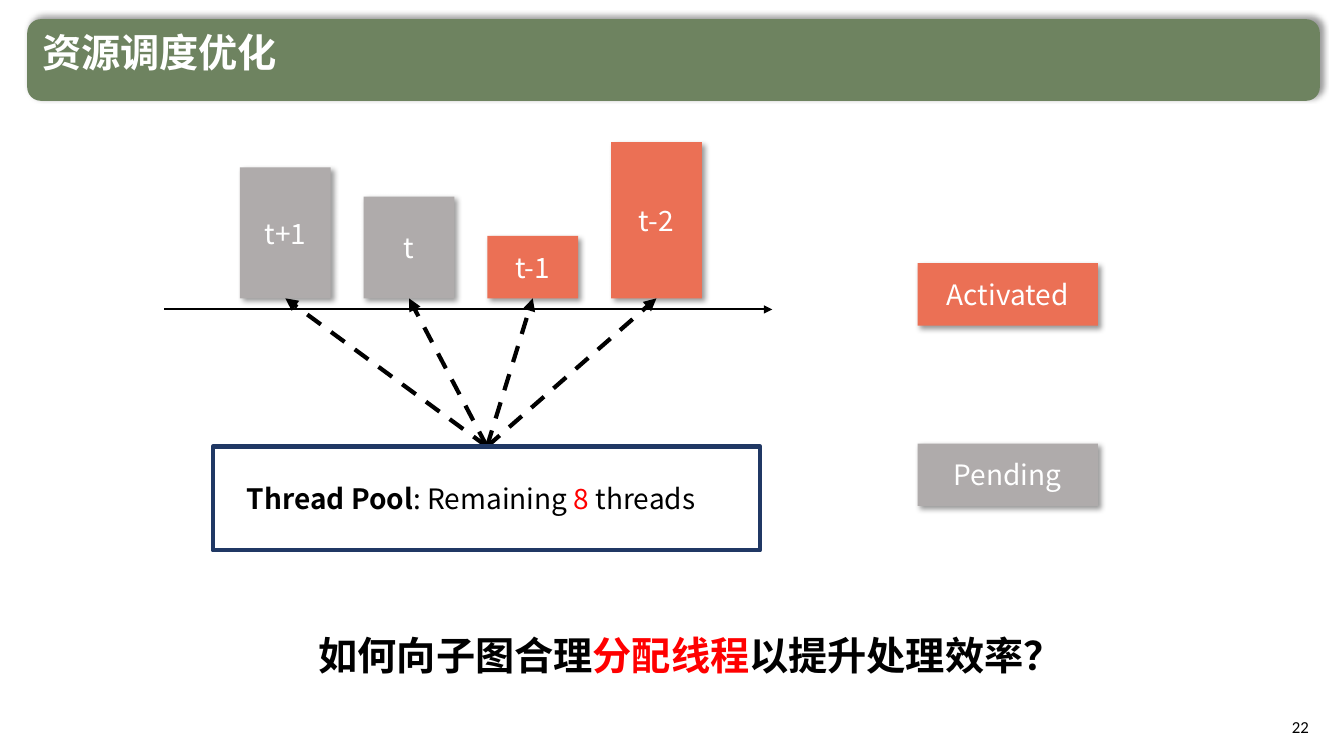
import dataclasses

import pptx
import pptx.dml.color
import pptx.enum.dml
import pptx.enum.shapes
import pptx.enum.text
import pptx.oxml
import pptx.oxml.ns
import pptx.util
from pptx.util import Inches

ALIGN = pptx.enum.text.PP_ALIGN
SHAPE = pptx.enum.shapes.MSO_SHAPE
NS = pptx.oxml.ns.nsdecls("a")


@dataclasses.dataclass(frozen=True)
class Theme:
    """Hold the colours, fonts and type sizes."""
    band: str = "6E8360"
    live: str = "EB7055"
    wait: str = "AFABAB"
    frame: str = "203864"
    ink: str = "000000"
    paper: str = "FFFFFF"
    mark: str = "FF0000"
    face: str = "Noto Sans CJK SC"
    digit: str = "Calibri"
    head: int = 28
    label: int = 20
    foot: int = 12


THEME = Theme()


def color(code):
    """Turn a hex code into a colour."""
    return pptx.dml.color.RGBColor.from_string(code)


def write(frame, parts, size, align=ALIGN.LEFT, face=THEME.face):
    """Fill a frame with one line of (text, colour, bold) parts."""
    frame.word_wrap = True
    line = frame.paragraphs[0]
    line.alignment = align
    for text, tint, bold in parts:
        run = line.add_run()
        run.text = text
        font = run.font
        font.size, font.bold, font.name = pptx.util.Pt(size), bold, face
        font.color.rgb = color(tint)
        font._element.append(pptx.oxml.parse_xml(f'<a:ea {NS} typeface="{face}"/>'))
    return line


def text(slide, box, parts, size, **style):
    """Add a text box and return its frame."""
    frame = slide.shapes.add_textbox(*map(Inches, box)).text_frame
    write(frame, parts, size, **style)
    return frame


def block(slide, box, fill, kind=SHAPE.RECTANGLE, angle=45):
    """Add a filled shape with a soft shadow."""
    shape = slide.shapes.add_shape(kind, *map(Inches, box))
    shape.fill.solid()
    shape.fill.fore_color.rgb = color(fill)
    shape.line.fill.background()
    shape.shadow.inherit = False
    effects = shape._element.spPr.find(pptx.oxml.ns.qn("a:effectLst"))
    effects.append(pptx.oxml.parse_xml(
        f'<a:outerShdw {NS} blurRad="{pptx.util.Pt(4)}" dist="{pptx.util.Pt(3)}" '
        f'dir="{angle * 60000}" algn="ctr" rotWithShape="0"><a:srgbClr val="{THEME.ink}">'
        '<a:alpha val="40000"/></a:srgbClr></a:outerShdw>'))
    return shape


def tile(slide, box, name, fill):
    """Add a labelled block."""
    frame = block(slide, box, fill).text_frame
    frame.vertical_anchor = pptx.enum.text.MSO_ANCHOR.MIDDLE
    write(frame, [(name, THEME.paper, False)], THEME.label, ALIGN.CENTER)


def arrow(slide, start, end, width, dash=False):
    """Add an arrow between two points."""
    line = slide.shapes.add_connector(
        pptx.enum.shapes.MSO_CONNECTOR.STRAIGHT, *map(Inches, start + end))
    line.line.color.rgb = color(THEME.ink)
    line.line.width = pptx.util.Pt(width)
    if dash:
        line.line.dash_style = pptx.enum.dml.MSO_LINE.DASH
    line.line._get_or_add_ln().append(pptx.oxml.parse_xml(f'<a:tailEnd {NS} type="triangle"/>'))
    line._element.spPr.append(pptx.oxml.parse_xml(f"<a:effectLst {NS}/>"))


def header(slide, left, top, width, height):
    """Draw the title band."""
    block(slide, (left, top, width, height), THEME.band, SHAPE.ROUNDED_RECTANGLE, 315)
    title = text(slide, (left + 0.05, top + 0.09, 11.07, 0.62),
                 [("资源调度优化", THEME.paper, True)], THEME.head)
    title.paragraphs[0].line_spacing = 0.9


def queue(slide, left, top, width, height):
    """Draw the tasks on a time line, fed by the thread pool."""
    base, pool, wide = top + 1.55, top + 3.02, 0.9
    hub = (left + 3.2, pool)
    tasks = [("t+1", 1.3, THEME.wait), ("t", 1.01, THEME.wait),
             ("t-1", 0.62, THEME.live), ("t-2", 1.55, THEME.live)]
    arrow(slide, (left, base + 0.11), (left + width, base + 0.11), 1.5)
    for i, (name, tall, fill) in enumerate(tasks):
        x = left + 0.75 + i * 1.227
        tile(slide, (x, base - tall, wide, tall), name, fill)
        arrow(slide, hub, (x + wide / 2, base), 3, dash=True)
    frame = slide.shapes.add_shape(SHAPE.RECTANGLE, *map(
        Inches, (left + 0.48, pool, 5.43, top + height - pool)))
    frame.fill.background()
    frame.line.color.rgb = color(THEME.frame)
    frame.line.width = pptx.util.Pt(3)
    frame.shadow.inherit = False
    text(slide, (left + 0.72, pool + 0.3, 4.81, 0.44),
         [("Thread Pool", THEME.ink, True), (": Remaining ", THEME.ink, False),
          ("8", THEME.mark, False), (" threads", THEME.ink, False)], THEME.label)


def legend(slide, left, top, width, height):
    """Draw the key to the task colours."""
    tall = 0.62
    tile(slide, (left, top, width, tall), "Activated", THEME.live)
    tile(slide, (left, top + height - tall, width, tall), "Pending", THEME.wait)


def footer(slide, left, top, width, height):
    """Write the closing question and the page number."""
    text(slide, (left, top, 9, 0.57),
         [("如何向子图合理", THEME.ink, True), ("分配线程", THEME.mark, True),
          ("以提升处理效率？", THEME.ink, True)], THEME.head, align=ALIGN.CENTER)
    page = text(slide, (left + width - 0.79, top + height - 0.4, 0.79, 0.4),
                [("22", THEME.ink, False)], THEME.foot, align=ALIGN.RIGHT, face=THEME.digit)
    page.vertical_anchor = pptx.enum.text.MSO_ANCHOR.MIDDLE


def main():
    """Build and save the slide."""
    deck = pptx.Presentation()
    deck.slide_width, deck.slide_height = Inches(13.33), Inches(7.5)
    slide = deck.slides.add_slide(deck.slide_layouts[6])
    header(slide, 0.27, 0.19, 12.82, 0.81)
    queue(slide, 1.63, 1.41, 6.03, 4.05)
    legend(slide, 9.1, 2.61, 1.79, 2.41)
    footer(slide, 2.35, 6.21, 10.73, 1.2)
    deck.save("out.pptx")


if __name__ == "__main__":
    main()
